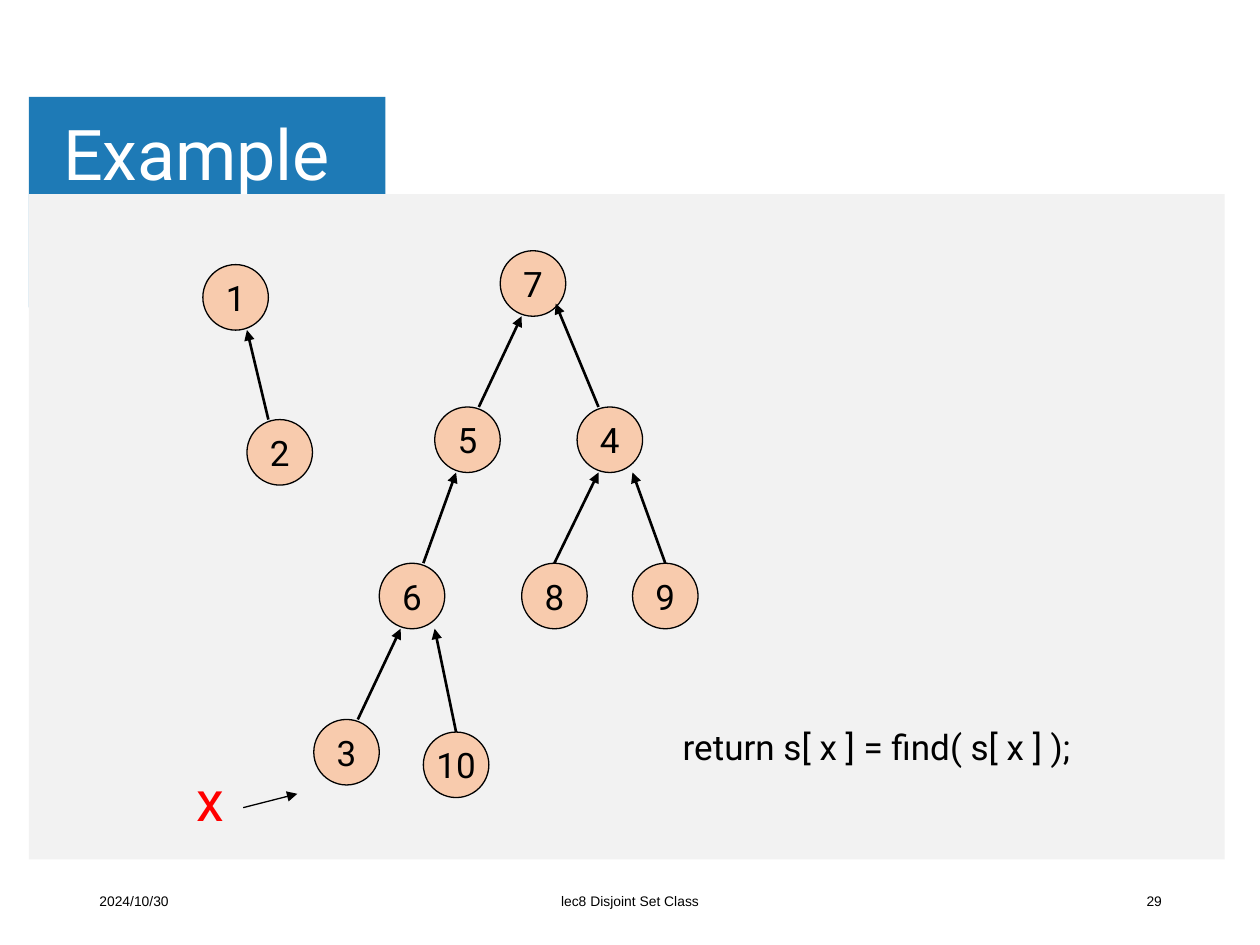
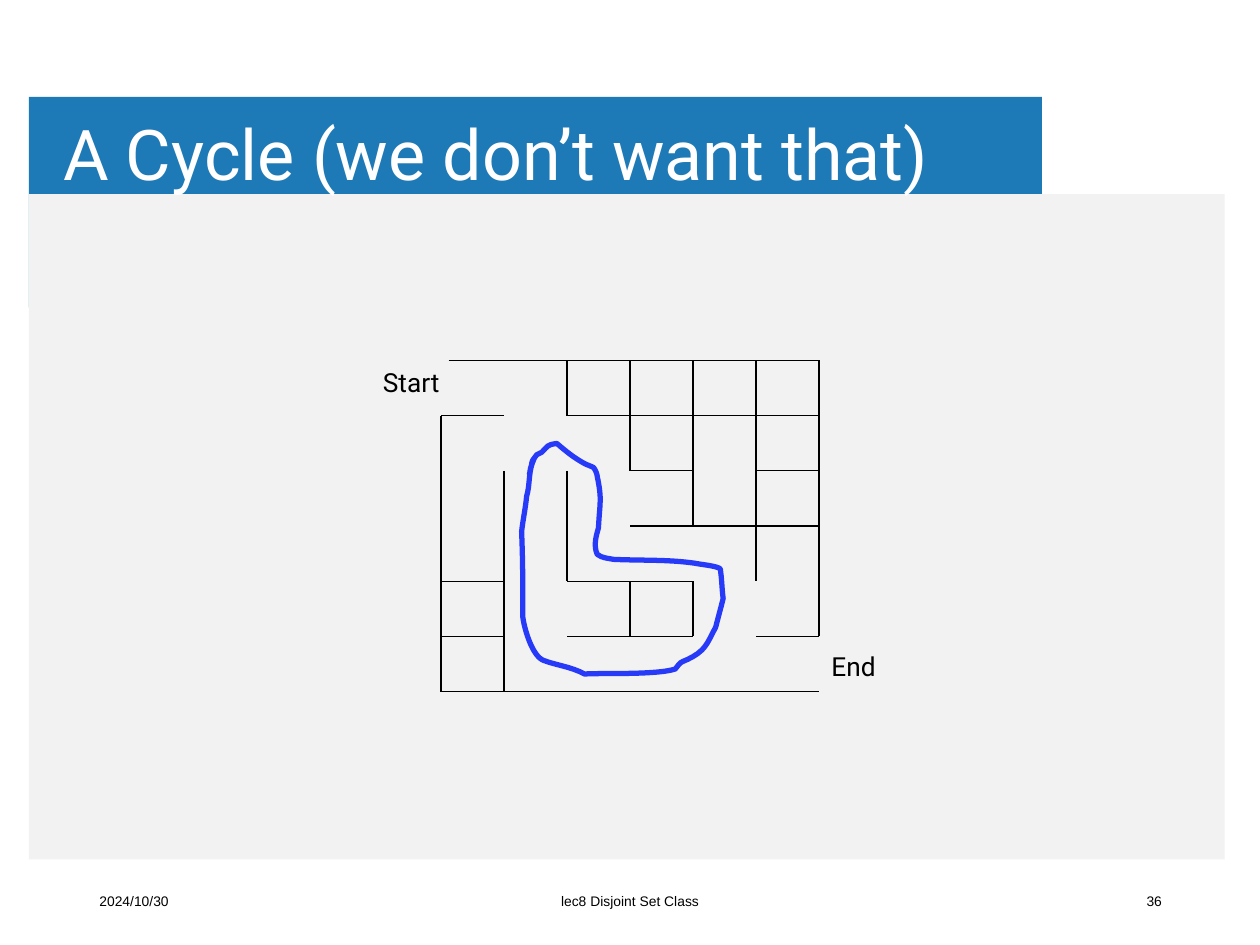
from dataclasses import dataclass
from lxml import etree
from pptx import Presentation
from pptx.dml.color import RGBColor
from pptx.enum.shapes import MSO_CONNECTOR, MSO_SHAPE
from pptx.enum.text import MSO_ANCHOR, MSO_AUTO_SIZE, PP_ALIGN
from pptx.oxml.ns import qn
from pptx.util import Inches, Pt

LEFT, MID, RIGHT = PP_ALIGN.LEFT, PP_ALIGN.CENTER, PP_ALIGN.RIGHT
TOP, MIDDLE = MSO_ANCHOR.TOP, MSO_ANCHOR.MIDDLE
RECT, OVAL = MSO_SHAPE.RECTANGLE, MSO_SHAPE.OVAL
STRAIGHT = MSO_CONNECTOR.STRAIGHT
NO_FIT = MSO_AUTO_SIZE.NONE


@dataclass(frozen=True)
class Theme:
    blue: str = "1E7AB6"
    panel: str = "F2F2F2"
    node: str = "F8CBAD"
    ink: str = "000000"
    white: str = "FFFFFF"
    red: str = "FF0000"
    loop: str = "263AF8"
    body: str = "Roboto"
    foot: str = "Arial"
    title: float = 40
    mark: float = 32
    text: float = 20
    label: float = 15
    small: float = 7.9
    thin: float = 0.75
    edge: float = 1.5
    thick: float = 3


THEME = Theme()

DATE, COURSE = "2024/10/30", "lec8 Disjoint Set Class"
TREE = {"title": "Example", "band": 2.83, "page": "29"}
MAZE = {"title": "A Cycle (we don’t want that)", "band": 8.04, "page": "36"}

SIZE = 0.52
NODES = {
    "1": (1.61, 2.1), "2": (1.96, 3.33), "3": (2.49, 5.71),
    "4": (4.58, 3.23), "5": (3.45, 3.23), "6": (3.01, 4.47),
    "7": (3.97, 1.99), "8": (4.14, 4.47), "9": (5.02, 4.47),
    "10": (3.36, 5.81),
}
EDGES = [
    ("2", "1", -0.09, 0.09, 0), ("5", "7", 0.09, -0.09, 0),
    ("4", "7", -0.09, 0.18, 0.1), ("6", "5", 0.09, -0.09, 0),
    ("3", "6", 0.09, -0.09, 0), ("8", "4", 0, -0.09, 0),
    ("9", "4", 0, 0.18, 0), ("10", "6", 0, 0.18, 0),
]
POINTER = (1.93, 6.41, 2.36, 6.3)
CODE = "return s[ x ] = find( s[ x ] );"

GRID_X, GRID_Y, GRID_END = 3.5, 2.86, 5.49
CELL_W, CELL_H = 0.5, (GRID_END - GRID_Y) / 6
ACROSS = [".#####", "#.####", "...#.#", "...###", "#.##..", "#.##.#", ".....#"]
DOWN = ["..#####", "...####", ".##.###", ".##..##", ".#.##.#", ".#....."]
LONG = [(3.56, 2.86, 4.06, 2.86), (6, 5.49, 3.5, 5.49), (3.5, 5.49, 3.5, 3.3)]
ENDS = [("Start", 2.94, 2.86, 0.68), ("End", 6.5, 5.11, 0.58)]

LOOP_START = (4.24, 3.64)
LOOP = [
    (4.19, 3.74, 4.21, 3.84, 4.18, 3.94), (4.17, 4.04, 4.15, 4.13, 4.14, 4.22),
    (4.15, 4.45, 4.15, 4.68, 4.15, 4.9), (4.16, 4.98, 4.22, 5.2, 4.31, 5.24),
    (4.41, 5.28, 4.53, 5.29, 4.64, 5.35), (4.74, 5.34, 5.21, 5.36, 5.36, 5.31),
    (5.38, 5.29, 5.39, 5.26, 5.42, 5.25), (5.47, 5.23, 5.53, 5.2, 5.57, 5.16),
    (5.62, 5.11, 5.64, 5.05, 5.68, 4.98), (5.7, 4.9, 5.72, 4.83, 5.74, 4.75),
    (5.73, 4.68, 5.73, 4.61, 5.72, 4.54), (5.72, 4.53, 5.72, 4.51, 5.71, 4.51),
    (5.67, 4.49, 5.56, 4.48, 5.51, 4.47), (5.3, 4.44, 5.09, 4.45, 4.87, 4.44),
    (4.82, 4.43, 4.78, 4.43, 4.74, 4.4), (4.71, 4.33, 4.73, 4.26, 4.75, 4.19),
    (4.76, 3.99, 4.78, 3.97, 4.74, 3.78), (4.74, 3.76, 4.72, 3.72, 4.71, 3.71),
    (4.69, 3.7, 4.66, 3.69, 4.64, 3.68), (4.55, 3.63, 4.49, 3.58, 4.42, 3.52),
    (4.34, 3.53, 4.35, 3.54, 4.3, 3.59), (4.29, 3.6, 4.27, 3.6, 4.26, 3.61),
    (4.25, 3.62, 4.24, 3.64, 4.23, 3.65), (4.21, 3.7, 4.23, 3.66, 4.21, 3.72),
    (4.21, 3.74, 4.2, 3.77, 4.2, 3.77),
]


def color(code):
    return RGBColor.from_string(code)


def place(shape, x, y, w, h):
    shape.left, shape.top = Inches(x), Inches(y)
    shape.width, shape.height = Inches(w), Inches(h)


def write(shape, text, size=THEME.text, ink=THEME.ink, face=THEME.body,
          align=LEFT, anchor=TOP, wrap=True, pad=(0.1, 0.05), lead=None):
    frame = shape.text_frame
    frame.auto_size = NO_FIT
    frame.word_wrap = wrap
    frame.vertical_anchor = anchor
    frame.margin_left = frame.margin_right = Inches(pad[0])
    frame.margin_top = frame.margin_bottom = Inches(pad[1])
    para = frame.paragraphs[0]
    para.alignment = align
    if lead:
        para.line_spacing = lead
    run = para.add_run()
    run.text = text
    run.font.size, run.font.name = Pt(size), face
    run.font.color.rgb = color(ink)


def label(slide, text, box, **style):
    write(slide.shapes.add_textbox(*map(Inches, box)), text, **style)


def block(slide, kind, box, fill, line=None):
    shape = slide.shapes.add_shape(kind, *map(Inches, box))
    shape.shadow.inherit = False
    shape.fill.solid()
    shape.fill.fore_color.rgb = color(fill)
    if line:
        shape.line.color.rgb = color(line)
        shape.line.width = Pt(THEME.thin)
    else:
        shape.line.fill.background()
    return shape


def stroke(slide, ends, width=THEME.thin, arrow=False):
    line = slide.shapes.add_connector(STRAIGHT, *map(Inches, ends))
    line.line.color.rgb = color(THEME.ink)
    line.line.width = Pt(width)
    props = line._element.spPr
    if arrow:
        etree.SubElement(props.find(qn("a:ln")), qn("a:tailEnd"), type="triangle")
    etree.SubElement(props, qn("a:effectLst"))
    return line


def start(deck, info):
    slide = deck.slides.add_slide(deck.slide_layouts[5])
    block(slide, RECT, (0.23, 0.77, info["band"], 1.67), THEME.blue)
    block(slide, RECT, (0.23, 1.54, 9.49, 5.28), THEME.panel)
    title = slide.shapes.title
    slide.shapes._spTree.append(title._element)
    place(title, 0.43, 0.76, 8.03, 0.98)
    write(title, info["title"], size=THEME.title, ink=THEME.white,
          anchor=MIDDLE, pad=(0.07, 0.04), lead=0.9)
    for text, x, w, align in [(DATE, 0.69, 2.25, LEFT), (COURSE, 3.31, 3.38, MID),
                              (info["page"], 7.07, 2.25, RIGHT)]:
        label(slide, text, (x, 6.95, w, 0.4), size=THEME.small,
              face=THEME.foot, align=align, anchor=MIDDLE)
    return slide


def draw_tree(deck):
    slide = start(deck, TREE)
    label(slide, "x", (1.46, 6.03, 0.46, 0.64), size=THEME.mark, ink=THEME.red)
    stroke(slide, POINTER, arrow=True)
    discs = {}
    for name, (x, y) in NODES.items():
        discs[name] = block(slide, OVAL, (x, y, SIZE, SIZE), THEME.node, THEME.ink)
        write(discs[name], name, align=MID, anchor=MIDDLE, wrap=False)
    for child, parent, out, into, rise in EDGES:
        (x, y), (px, py) = NODES[child], NODES[parent]
        half = SIZE / 2
        ends = (x + half + out, y, px + half + into, py + SIZE - rise)
        line = stroke(slide, ends, THEME.edge, arrow=True)
        if not out:
            line.begin_connect(discs[child], 0)
    label(slide, CODE, (5.32, 5.71, 3.83, 0.44), wrap=False)


def draw_walls(slide, rows, dx, dy):
    for r, row in enumerate(rows):
        for c, mark in enumerate(row):
            if mark == "#":
                x, y = GRID_X + c * CELL_W, GRID_Y + r * CELL_H
                stroke(slide, (x, y, x + dx, y + dy))


def draw_loop(slide):
    pen = slide.shapes.build_freeform(*map(Inches, LOOP_START))
    pen.add_line_segments([tuple(map(Inches, c[4:])) for c in LOOP], close=False)
    loop = pen.convert_to_shape()
    for part, curve in zip(list(loop._element.iter(qn("a:lnTo"))), LOOP):
        bend = etree.Element(qn("a:cubicBezTo"))
        for x, y in zip(curve[::2], curve[1::2]):
            etree.SubElement(bend, qn("a:pt"), x=str(Inches(x) - loop.left),
                             y=str(Inches(y) - loop.top))
        part.getparent().replace(part, bend)
    loop.shadow.inherit = False
    loop.fill.background()
    loop.line.color.rgb = color(THEME.loop)
    loop.line.width = Pt(THEME.thick)


def draw_maze(deck):
    slide = start(deck, MAZE)
    draw_walls(slide, ACROSS, CELL_W, 0)
    draw_walls(slide, DOWN, 0, CELL_H)
    for wall in LONG:
        stroke(slide, wall)
    for text, x, y, w in ENDS:
        label(slide, text, (x, y, w, 0.35), size=THEME.label, wrap=False)
    draw_loop(slide)


def main():
    deck = Presentation()
    deck.slide_width, deck.slide_height = Inches(10), Inches(7.5)
    draw_tree(deck)
    draw_maze(deck)
    deck.save("out.pptx")


if __name__ == "__main__":
    main()
